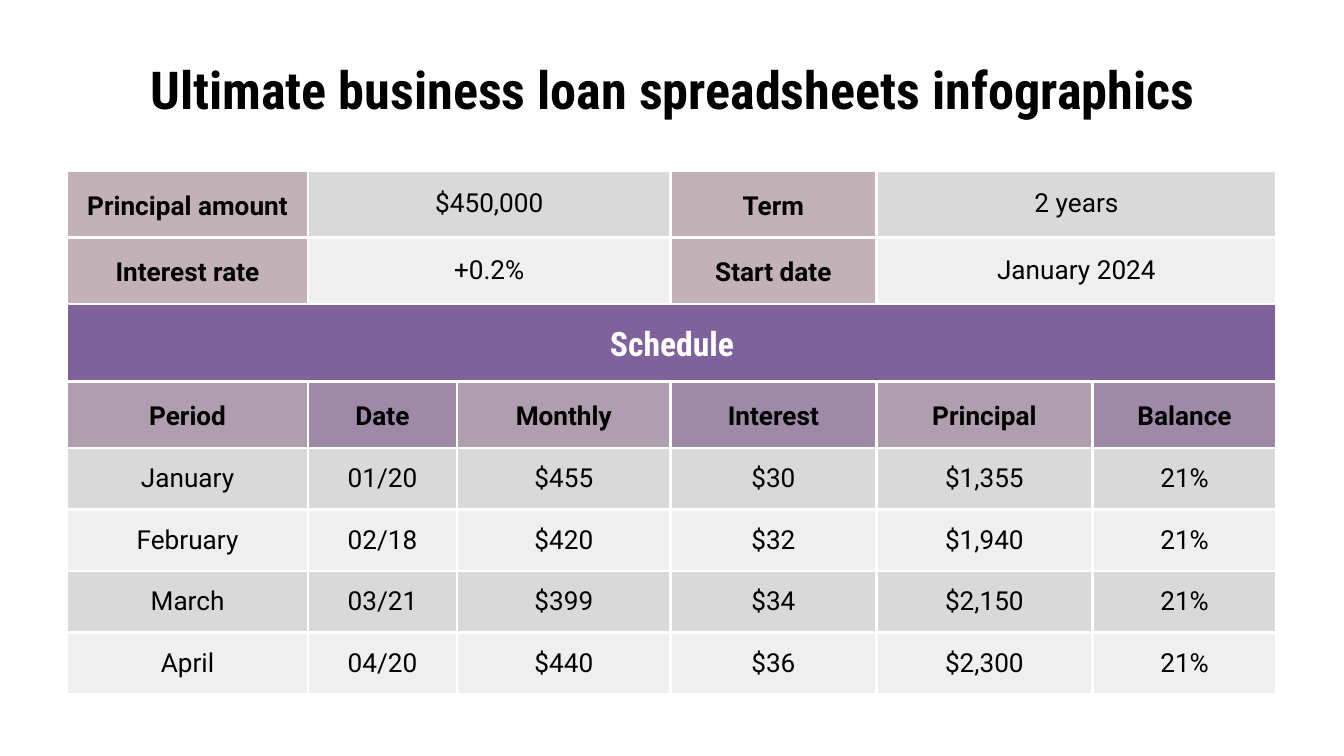
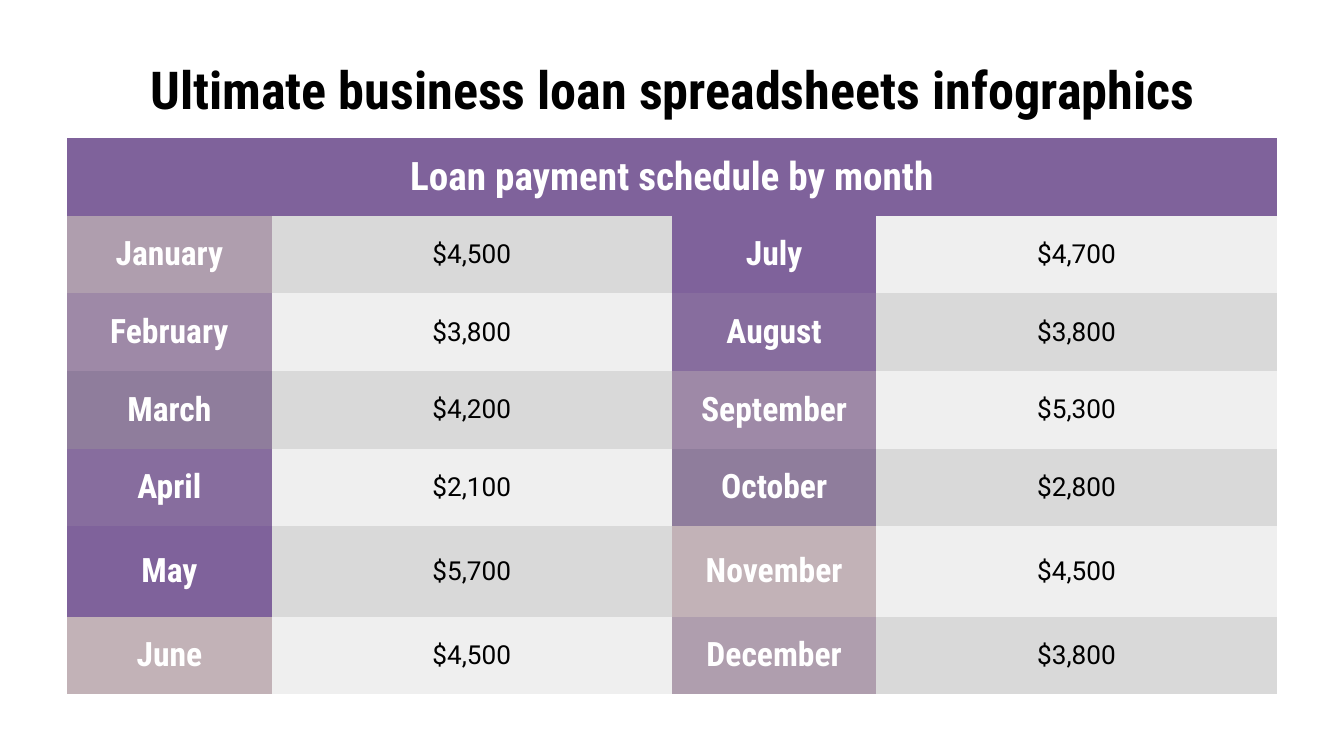
from lxml import etree
from pptx import Presentation
from pptx.dml.color import RGBColor
from pptx.enum.text import MSO_ANCHOR, PP_ALIGN
from pptx.oxml.ns import qn
from pptx.util import Emu, Pt

CENTER = PP_ALIGN.CENTER
MIDDLE = MSO_ANCHOR.MIDDLE

PX = 914400 // 192
WIDTH, HEIGHT = 1920, 1080
MARGIN = 96
CONTENT = WIDTH - 2 * MARGIN
INSET = 19

BLACK, WHITE = "000000", "FFFFFF"
PURPLE, VIOLET, SLATE = "7F629B", "876D9E", "8F7D9C"
LILAC, MAUVE, ROSE = "9E89A7", "AF9EAE", "C2B2B7"
GREYS = ("D9D9D9", "EFEFEF")

BODY, CONDENSED = "Roboto", "Roboto Condensed"
TITLE = dict(font=CONDENSED, size=28, bold=True)
VALUE = dict(font=BODY, size=14)
LABEL = dict(font=BODY, size=14, bold=True, spacing=1.15)
SECTION = dict(font=CONDENSED, size=18, bold=True, color=WHITE, spacing=1.15)
BANNER = dict(font=CONDENSED, size=21, bold=True, color=WHITE)
MONTH = dict(font=CONDENSED, size=18, bold=True, color=WHITE)

TITLE_TEXT = "Ultimate business loan spreadsheets infographics"
TERMS = [
    ("Principal amount", "$450,000", "Term", "2 years"),
    ("Interest rate", "+0.2%", "Start date", "January 2024"),
]
HEADINGS = ("Period", "Date", "Monthly", "Interest", "Principal", "Balance")
PAYMENTS = [
    ("January", "01/20", "$455", "$30", "$1,355", "21%"),
    ("February", "02/18", "$420", "$32", "$1,940", "21%"),
    ("March", "03/21", "$399", "$34", "$2,150", "21%"),
    ("April", "04/20", "$440", "$36", "$2,300", "21%"),
]
FIRST_HALF = [
    ("January", "$4,500", MAUVE),
    ("February", "$3,800", LILAC),
    ("March", "$4,200", SLATE),
    ("April", "$2,100", VIOLET),
    ("May", "$5,700", PURPLE),
    ("June", "$4,500", ROSE),
]
SECOND_HALF = [
    ("July", "$4,700", PURPLE),
    ("August", "$3,800", VIOLET),
    ("September", "$5,300", LILAC),
    ("October", "$2,800", SLATE),
    ("November", "$4,500", ROSE),
    ("December", "$3,800", MAUVE),
]


def px(n):
    return Emu(n * PX)


def rgb(color):
    return RGBColor.from_string(color)


def write(tf, text, font=BODY, size=14, bold=False, color=BLACK, spacing=1.0):
    p = tf.paragraphs[0]
    p.alignment = CENTER
    p.line_spacing = spacing
    r = p.add_run()
    r.text = text
    r.font.name = font
    r.font.size = Pt(size)
    r.font.bold = bold
    r.font.color.rgb = rgb(color)


def set_insets(target):
    target.margin_left = target.margin_right = px(INSET)
    target.margin_top = target.margin_bottom = px(INSET)
    target.vertical_anchor = MIDDLE


def add_title(s, x, y, w, h):
    tf = s.shapes.add_textbox(px(x), px(y), px(w), px(h)).text_frame
    tf.word_wrap = True
    set_insets(tf)
    write(tf, TITLE_TEXT, **TITLE)


def set_borders(cell, color):
    tc_pr = cell._tc.get_or_add_tcPr()
    for side in ("lnL", "lnR", "lnT", "lnB"):
        ln = etree.SubElement(tc_pr, qn(f"a:{side}"), w=str(Pt(1.5) if color else 0))
        if color:
            fill = etree.SubElement(ln, qn("a:solidFill"))
            etree.SubElement(fill, qn("a:srgbClr"), val=color)
        else:
            etree.SubElement(ln, qn("a:noFill"))


def style_cell(cell, fill, border):
    set_borders(cell, border)
    set_insets(cell)
    cell.fill.solid()
    cell.fill.fore_color.rgb = rgb(fill)


def add_grid(s, x, y, widths, heights, rows, border=None):
    frame = s.shapes.add_table(len(heights), len(widths), px(x), px(y),
                               px(sum(widths)), px(sum(heights)))
    table = frame.table
    table.first_row = table.horz_banding = False
    for column, width in zip(table.columns, widths):
        column.width = px(width)
    for row, height in zip(table.rows, heights):
        row.height = px(height)
    for i, entries in enumerate(rows):
        j = 0
        for text, style, fill, span in entries:
            for k in range(j, j + span):
                style_cell(table.cell(i, k), fill, border)
            cell = table.cell(i, j)
            if span > 1:
                cell.merge(table.cell(i, j + span - 1))
            write(cell.text_frame, text, **style)
            j += span


def loan_rows():
    rows = []
    for (label, value, label2, value2), grey in zip(TERMS, GREYS):
        rows.append([(label, LABEL, ROSE, 1), (value, VALUE, grey, 2),
                     (label2, LABEL, ROSE, 1), (value2, VALUE, grey, 2)])
    rows.append([("Schedule", SECTION, PURPLE, len(HEADINGS))])
    rows.append([(text, LABEL, (MAUVE, LILAC)[j % 2], 1)
                 for j, text in enumerate(HEADINGS)])
    for i, payment in enumerate(PAYMENTS):
        rows.append([(text, VALUE, GREYS[i % 2], 1) for text in payment])
    return rows


def month_rows():
    rows = [[("Loan payment schedule by month", BANNER, PURPLE, 4)]]
    for i, halves in enumerate(zip(FIRST_HALF, SECOND_HALF)):
        row = []
        for j, (month, amount, fill) in enumerate(halves):
            row += [(month, MONTH, fill, 1),
                    (amount, VALUE, GREYS[(i + j) % 2], 1)]
        rows.append(row)
    return rows


def add_slide(prs):
    s = prs.slides.add_slide(prs.slide_layouts[6])
    s.background.fill.solid()
    s.background.fill.fore_color.rgb = rgb(WHITE)
    add_title(s, MARGIN, 87, CONTENT, 79)
    return s


def loan_slide(prs):
    widths = [344, 213, 305, 294, 309, 263]
    heights = [95, 95, 111, 95] + [88] * len(PAYMENTS)
    add_grid(add_slide(prs), MARGIN, 244, widths, heights, loan_rows(), WHITE)


def month_slide(prs):
    widths = [292, 572] * 2
    heights = [111] * 5 + [129, 111]
    add_grid(add_slide(prs), MARGIN, 197, widths, heights, month_rows())


def main():
    prs = Presentation()
    prs.slide_width, prs.slide_height = px(WIDTH), px(HEIGHT)
    loan_slide(prs)
    month_slide(prs)
    prs.save("out.pptx")


if __name__ == "__main__":
    main()
